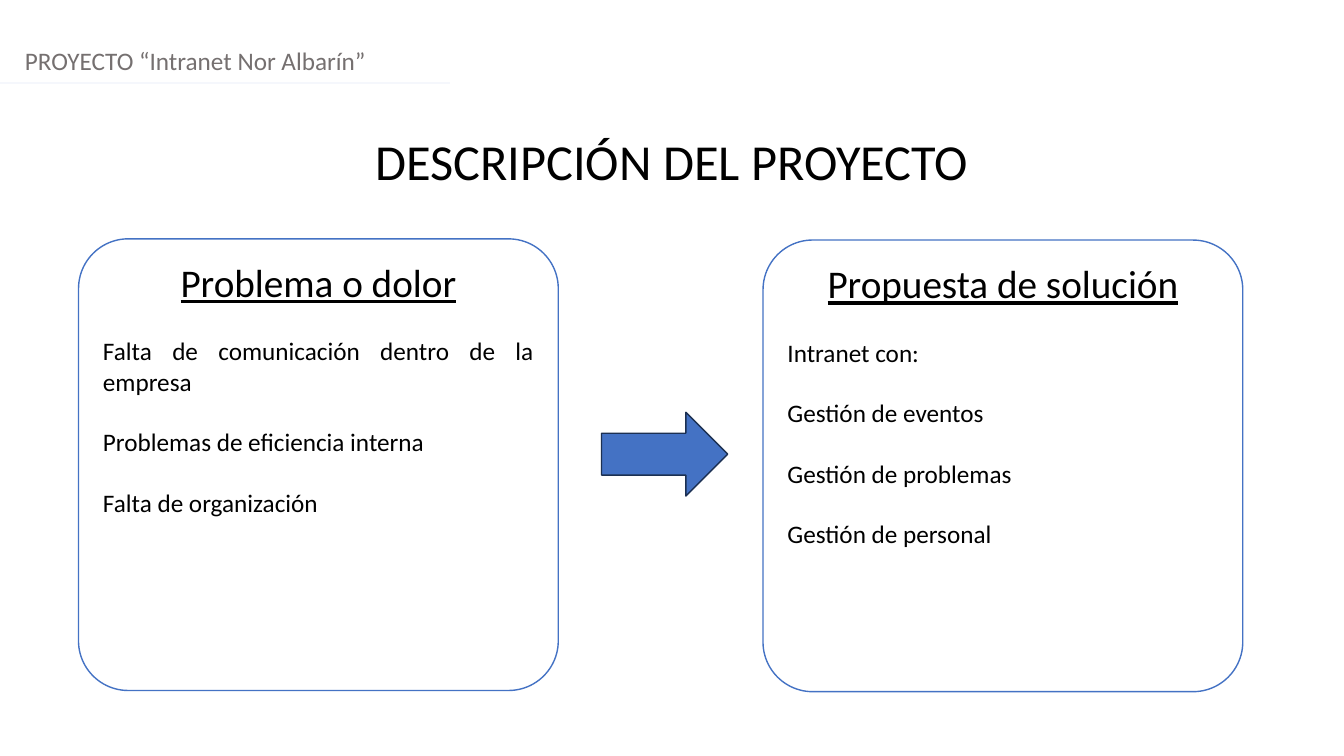
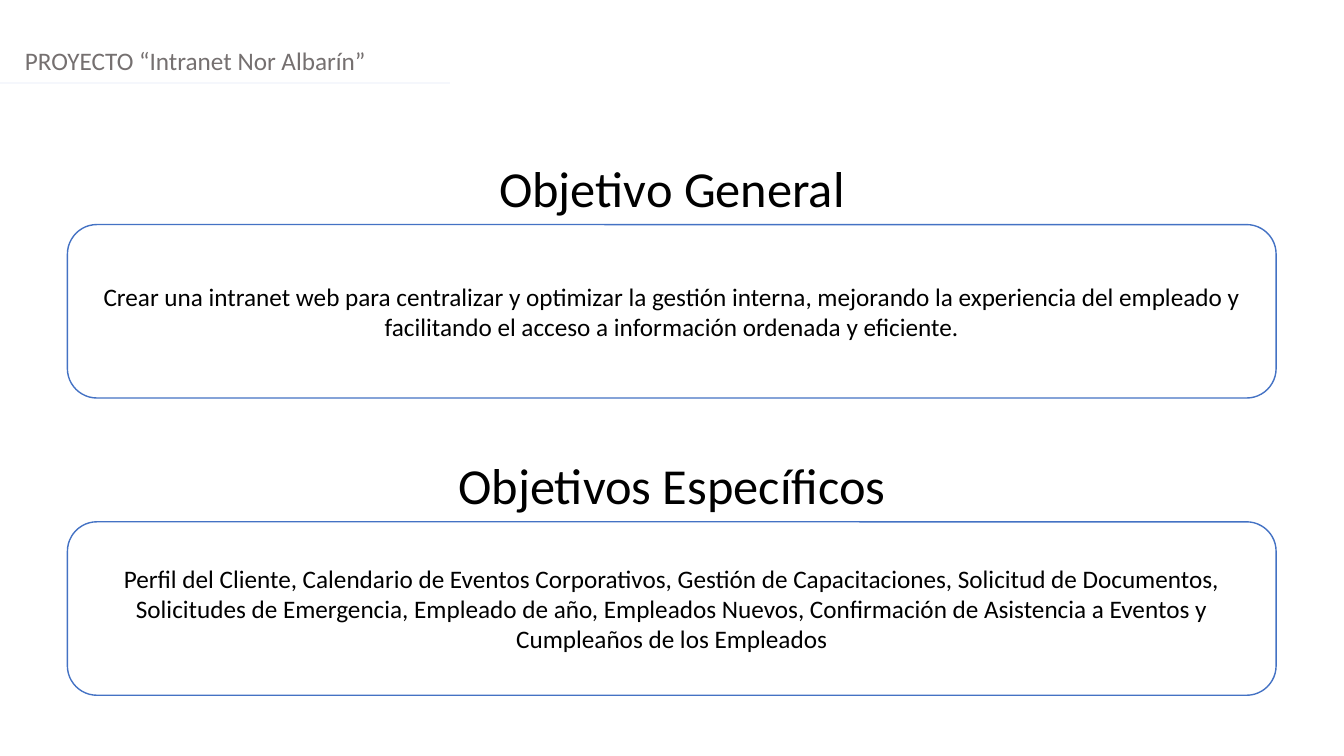
from lxml.etree import SubElement
from pptx import Presentation
from pptx.dml.color import RGBColor
from pptx.enum.shapes import MSO_CONNECTOR, MSO_SHAPE
from pptx.enum.text import MSO_ANCHOR as Anchor, MSO_AUTO_SIZE, PP_ALIGN as Align
from pptx.oxml.ns import qn
from pptx.util import Cm, Pt

WHITE = RGBColor(0xFF, 0xFF, 0xFF)
BLACK = RGBColor(0x00, 0x00, 0x00)
GRAY = RGBColor(0x75, 0x70, 0x70)
PALE = RGBColor(0xF5, 0xF7, 0xFC)
BLUE = RGBColor(0x44, 0x72, 0xC4)
NAVY = RGBColor(0x1C, 0x30, 0x52)

FONT = "Calibri"
BODY_SIZE = 18
CARD_TITLE_SIZE = 28
HEADING_SIZE = 36
BODY_GAP = Pt(21.6)
SLIDE_WIDTH = Cm(33.87)
SLIDE_HEIGHT = Cm(19.05)
HEADING_HEIGHT = Cm(1.82)


def add_text(paragraph, text, size=BODY_SIZE, color=BLACK, align=Align.LEFT, underline=False):
    paragraph.alignment = align
    run = paragraph.add_run()
    run.text = text
    run.font.name = FONT
    run.font.size = Pt(size)
    run.font.color.rgb = color
    if underline:
        run.font.underline = True


def add_header(slide):
    box = slide.shapes.add_textbox(Cm(0.38), Cm(1.02), Cm(33.4), Cm(1.02))
    box.text_frame.word_wrap = True
    add_text(box.text_frame.paragraphs[0], "PROYECTO “Intranet Nor Albarín”", color=GRAY)
    rule = slide.shapes.add_connector(MSO_CONNECTOR.STRAIGHT, 0, Cm(2.1), Cm(11.35), Cm(2.1))
    rule.line.color.rgb = PALE
    rule.line.width = Pt(1.25)
    SubElement(rule._element.spPr, qn("a:effectLst"))


def fill_heading(shape, text, top):
    shape.left, shape.top = 0, top
    shape.width, shape.height = SLIDE_WIDTH, HEADING_HEIGHT
    frame = shape.text_frame
    frame.word_wrap = True
    frame.auto_size = MSO_AUTO_SIZE.NONE
    frame.vertical_anchor = Anchor.TOP
    add_text(frame.paragraphs[0], text, HEADING_SIZE, align=Align.CENTER)


def add_titled_slide(presentation, title, top):
    slide = presentation.slides.add_slide(presentation.slide_layouts[5])
    add_header(slide)
    fill_heading(slide.shapes.title, title, top)
    return slide


def add_shape(slide, kind, left, top, width, height, fill, line):
    shape = slide.shapes.add_shape(kind, left, top, width, height)
    shape.shadow.inherit = False
    shape.fill.solid()
    shape.fill.fore_color.rgb = fill
    shape.line.color.rgb = line
    shape.line.width = Pt(1)
    return shape


def add_rounded_box(slide, left, top, width, height, rounding, anchor):
    box = add_shape(slide, MSO_SHAPE.ROUNDED_RECTANGLE, left, top, width, height, WHITE, BLUE)
    box.adjustments[0] = rounding
    box.text_frame.word_wrap = True
    box.text_frame.vertical_anchor = anchor
    return box.text_frame


def add_card(slide, left, top, title, items):
    frame = add_rounded_box(slide, left, top, Cm(12.09), Cm(11.38), 0.11, Anchor.TOP)
    add_text(frame.paragraphs[0], title, CARD_TITLE_SIZE, align=Align.CENTER, underline=True)
    for item in items:
        paragraph = frame.add_paragraph()
        paragraph.space_before = BODY_GAP
        add_text(paragraph, item, align=Align.JUSTIFY)


def add_objective(slide, heading_top, text):
    top = heading_top + HEADING_HEIGHT
    frame = add_rounded_box(slide, Cm(1.7), top, Cm(30.46), Cm(4.37), 0.17, Anchor.MIDDLE)
    add_text(frame.paragraphs[0], text, align=Align.CENTER)


def build_description(presentation):
    slide = add_titled_slide(presentation, "DESCRIPCIÓN DEL PROYECTO", Cm(3.15))
    add_card(slide, Cm(1.98), Cm(6.02), "Problema o dolor", [
        "Falta de comunicación dentro de la empresa",
        "Problemas de eficiencia interna",
        "Falta de organización",
    ])
    add_card(slide, Cm(19.23), Cm(6.05), "Propuesta de solución", [
        "Intranet con:",
        "Gestión de eventos",
        "Gestión de problemas",
        "Gestión de personal",
    ])
    add_shape(slide, MSO_SHAPE.RIGHT_ARROW, Cm(15.16), Cm(10.39), Cm(3.18), Cm(2.11), BLUE, NAVY)


def build_objectives(presentation):
    general_top, specific_top = Cm(3.84), Cm(11.33)
    slide = add_titled_slide(presentation, "Objetivo General", general_top)
    specific_heading = slide.shapes.add_textbox(0, specific_top, SLIDE_WIDTH, HEADING_HEIGHT)
    fill_heading(specific_heading, "Objetivos Específicos", specific_top)
    add_objective(
        slide, general_top,
        "Crear una intranet web para centralizar y optimizar la gestión interna, "
        "mejorando la experiencia del empleado y facilitando el acceso a información "
        "ordenada y eficiente.")
    add_objective(
        slide, specific_top,
        "Perfil del Cliente, Calendario de Eventos Corporativos, Gestión de Capacitaciones, "
        "Solicitud de Documentos, Solicitudes de Emergencia, Empleado de año, Empleados Nuevos, "
        "Confirmación de Asistencia a Eventos y Cumpleaños de los Empleados")


def main():
    presentation = Presentation()
    presentation.slide_width = SLIDE_WIDTH
    presentation.slide_height = SLIDE_HEIGHT
    build_description(presentation)
    build_objectives(presentation)
    presentation.save("out.pptx")


if __name__ == "__main__":
    main()
